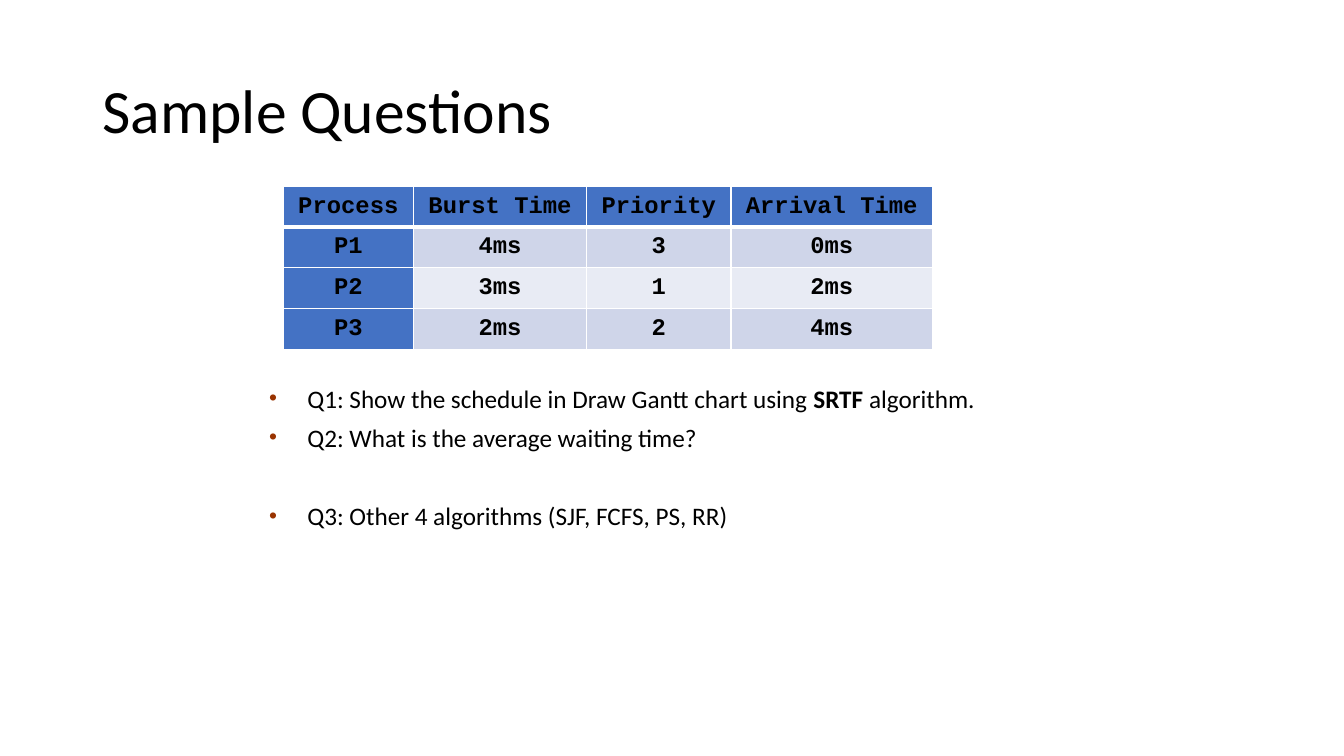
from dataclasses import dataclass

from lxml.etree import SubElement
from pptx import Presentation
from pptx.dml.color import RGBColor
from pptx.enum.text import MSO_ANCHOR, PP_ALIGN
from pptx.oxml.ns import qn
from pptx.util import Inches, Pt


@dataclass(frozen=True)
class Theme:
    text: str = "000000"
    accent: str = "4472C4"
    bands: tuple = ("CFD5E9", "E8EBF4")
    border: str = "FFFFFF"
    bullet: str = "993300"
    body_font: str = "Calibri"
    table_font: str = "Courier New"
    title_size: float = 44
    table_size: float = 17
    body_size: float = 18
    thin: float = 0.96
    thick: float = 3


class SlideBuilder:
    def __init__(self, page, theme):
        self.page = page
        self.theme = theme

    def style(self, span, size, font, bold=False):
        span.font.size = Pt(size)
        span.font.name = font
        span.font.bold = bold
        span.font.color.rgb = RGBColor.from_string(self.theme.text)

    def text_frame(self, left, top, width, height):
        box = self.page.shapes.add_textbox(
            Inches(left), Inches(top), Inches(width), Inches(height))
        box.text_frame.word_wrap = True
        return box.text_frame

    def title(self, text, *place):
        frame = self.text_frame(*place)
        frame.vertical_anchor = MSO_ANCHOR.MIDDLE
        frame.text = text
        para = frame.paragraphs[0]
        para.line_spacing = 0.9
        self.style(para.runs[0], self.theme.title_size, self.theme.body_font)

    def add_bullet(self, para):
        properties = para._p.get_or_add_pPr()
        properties.set("marL", str(Inches(0.38)))
        properties.set("indent", str(-Inches(0.38)))
        color = SubElement(properties, qn("a:buClr"))
        SubElement(color, qn("a:srgbClr"), val=self.theme.bullet)
        SubElement(properties, qn("a:buSzPct"), val="90000")
        SubElement(properties, qn("a:buFont"), typeface="Arial")
        SubElement(properties, qn("a:buChar"), char="•")

    def bullets(self, items, *place):
        """Each item is (space before in points, [(text, bold), ...])."""
        frame = self.text_frame(*place)
        for index, (space, spans) in enumerate(items):
            para = frame.add_paragraph() if index else frame.paragraphs[0]
            self.add_bullet(para)
            para.space_before = Pt(space)
            for text, bold in spans:
                span = para.add_run()
                span.text = text
                self.style(span, self.theme.body_size, self.theme.body_font, bold)

    def borders(self, cell, row):
        """Thin lines all round, with a thick one below the header row."""
        properties = cell._tc.get_or_add_tcPr()
        thick_side = {0: "B", 1: "T"}.get(row)
        for side in "LRTB":
            width = self.theme.thick if side == thick_side else self.theme.thin
            line = SubElement(properties, qn(f"a:ln{side}"), w=str(Pt(width)))
            fill = SubElement(line, qn("a:solidFill"))
            SubElement(fill, qn("a:srgbClr"), val=self.theme.border)

    def cell(self, cell, text, row, column):
        theme = self.theme
        self.borders(cell, row)
        header = row == 0 or column == 0
        color = theme.accent if header else theme.bands[(row - 1) % 2]
        cell.fill.solid()
        cell.fill.fore_color.rgb = RGBColor.from_string(color)
        cell.margin_left = cell.margin_right = Inches(0.07)
        cell.margin_top = cell.margin_bottom = Inches(0.05)
        cell.text_frame.text = text
        para = cell.text_frame.paragraphs[0]
        para.alignment = PP_ALIGN.CENTER
        para.line_spacing = 1.07
        self.style(para.runs[0], theme.table_size, theme.table_font, bold=True)

    def table(self, rows, widths, left, top, row_height):
        table = self.page.shapes.add_table(
            len(rows), len(widths), Inches(left), Inches(top),
            Inches(sum(widths)), Inches(row_height * len(rows))).table
        table.first_col = True
        for column, width in zip(table.columns, widths):
            column.width = Inches(width)
        for row, texts in enumerate(rows):
            for column, text in enumerate(texts):
                self.cell(table.cell(row, column), text, row, column)


PROCESSES = [
    ("Process", "Burst Time", "Priority", "Arrival Time"),
    ("P1", "4ms", "3", "0ms"),
    ("P2", "3ms", "1", "2ms"),
    ("P3", "2ms", "2", "4ms"),
]
QUESTIONS = [
    (0, [("Q1: Show the schedule in Draw Gantt chart using ", False),
         ("SRTF ", True), ("algorithm.", False)]),
    (6.3, [("Q2: What is the average waiting time?", False)]),
    (34.5, [("Q3: Other 4 algorithms (SJF, FCFS, PS, RR)", False)]),
]


def main():
    deck = Presentation()
    deck.slide_width = Inches(13.33)
    deck.slide_height = Inches(7.5)
    page = deck.slides.add_slide(deck.slide_layouts[6])
    builder = SlideBuilder(page, Theme())
    builder.title("Sample Questions", 0.92, 0.4, 11.5, 1.45)
    builder.table(PROCESSES, (1.29, 1.72, 1.43, 2), 2.81, 1.85, 0.38)
    builder.bullets(QUESTIONS, 2.57, 3.75, 8.19, 2.66)
    deck.save("out.pptx")


if __name__ == "__main__":
    main()
